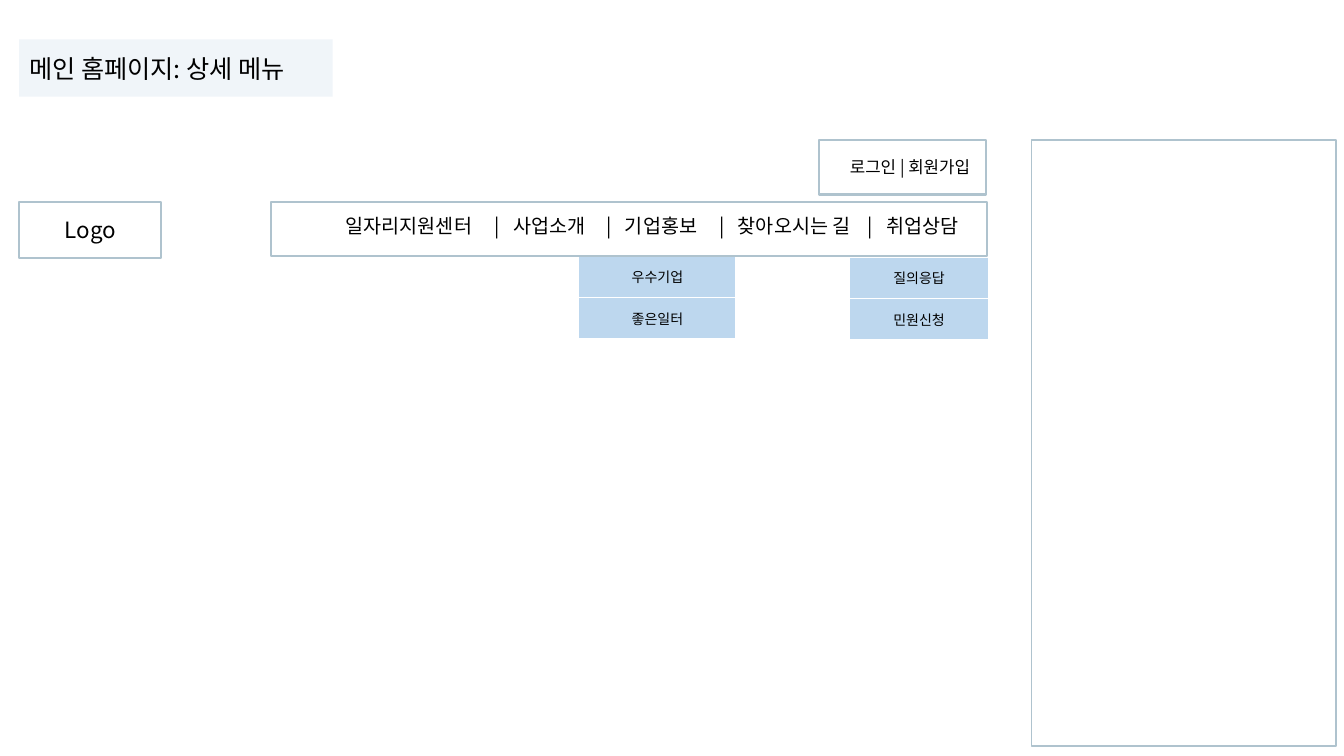
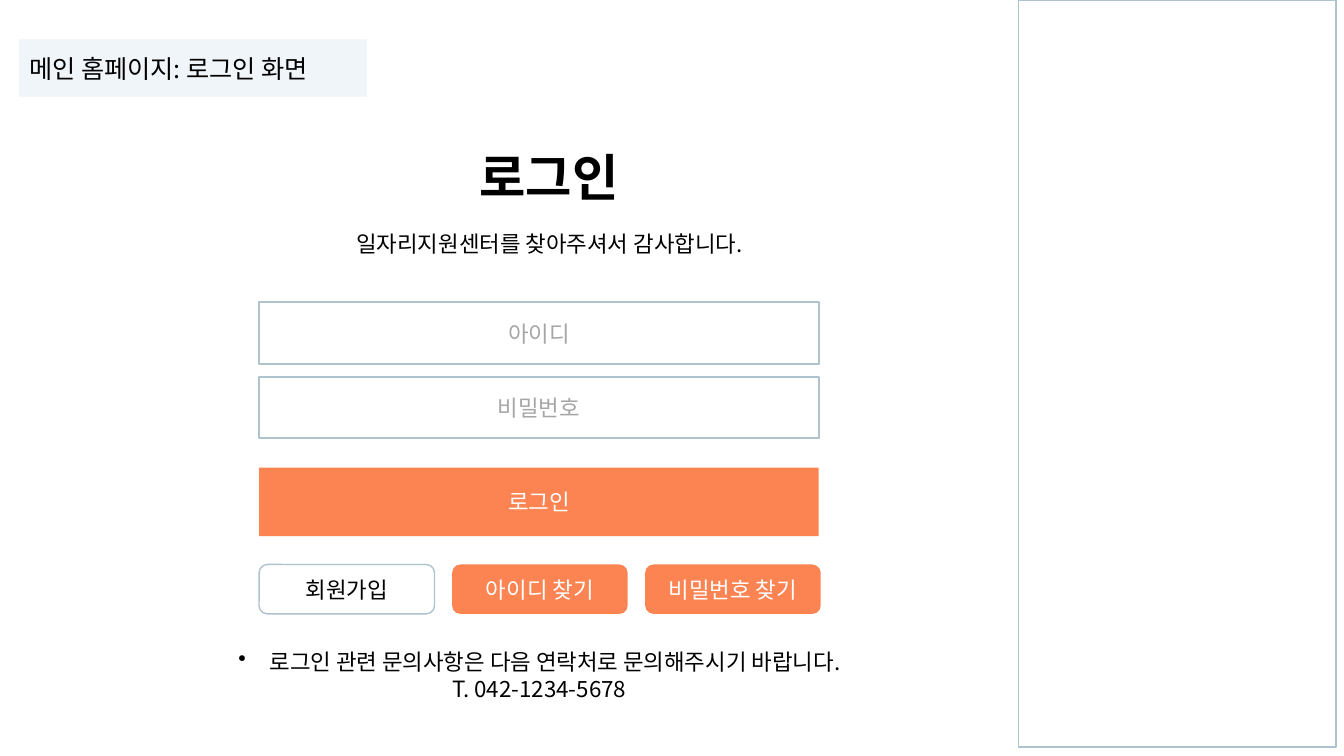
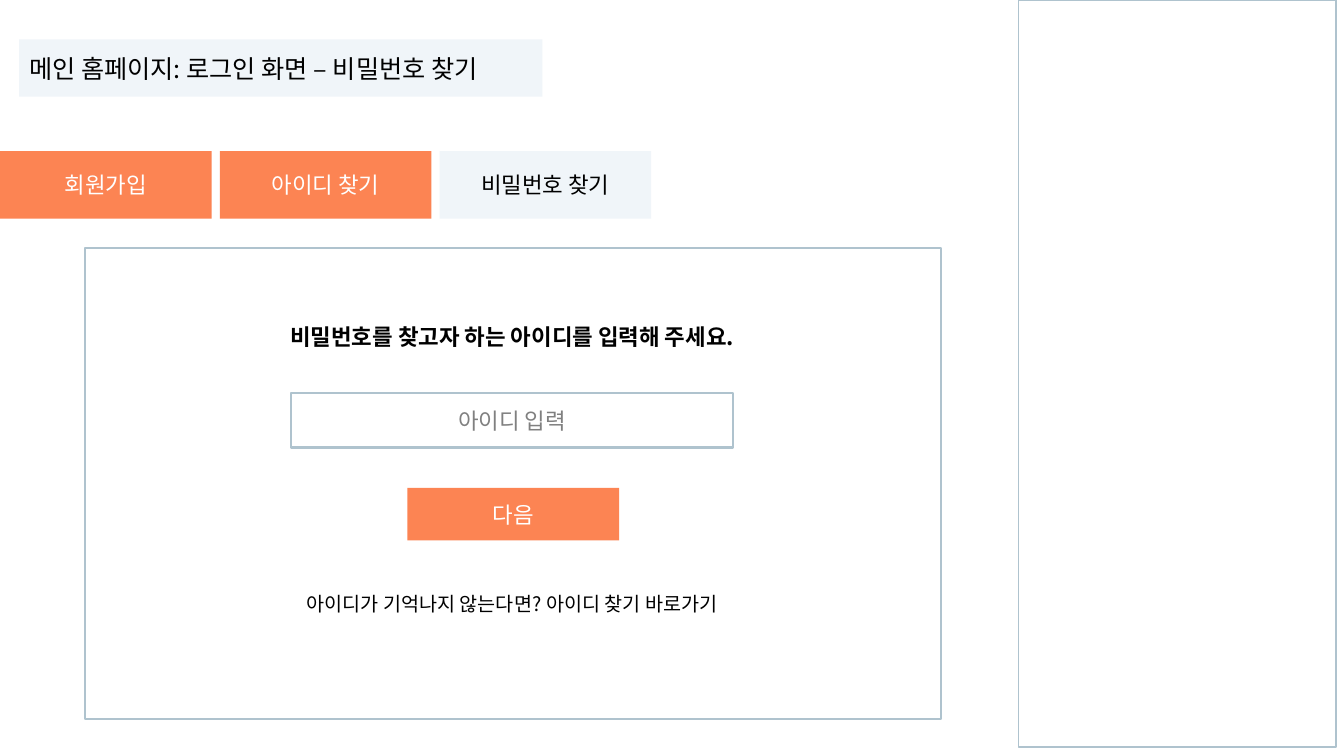
from dataclasses import dataclass

from lxml import etree
from pptx import Presentation
from pptx import util as u
from pptx.dml.color import RGBColor
from pptx.enum import shapes, text
from pptx.oxml import ns

FONT = "Noto Sans CJK KR"
COLORS = {
    "black": "000000",
    "white": "FFFFFF",
    "pale": "F0F5F9",
    "orange": "FC8453",
    "blue": "BDD7EE",
    "outline": "AFC3CE",
    "hint": "A6A6A6",
    "gray": "808080",
}
CENTER = text.PP_ALIGN.CENTER
LEFT = text.PP_ALIGN.LEFT
RIGHT = text.PP_ALIGN.RIGHT


@dataclass
class Box:
    """A rectangle or, without a preset, a text box; lengths in inches."""
    left: float
    top: float
    width: float
    height: float
    words: str = ""
    fill: str | None = None
    line: float | None = None
    color: str = "black"
    size: int = 16
    bold: bool = False
    align: text.PP_ALIGN = CENTER
    preset: shapes.MSO_SHAPE | None = shapes.MSO_SHAPE.RECTANGLE


@dataclass
class Submenu:
    left: float
    top: float
    width: float
    items: tuple[str, ...]


def rgb(name: str) -> RGBColor:
    return RGBColor.from_string(COLORS[name])


def add_xml(parent, tag: str, **attributes: str):
    return etree.SubElement(parent, ns.qn(tag), attributes)


def write(frame, words: str, *, size: int = 16, color: str = "black",
          bold: bool = False, align: text.PP_ALIGN = CENTER) -> None:
    """Write one paragraph for each line of words."""
    for index, line in enumerate(words.split("\n")):
        para = frame.add_paragraph() if index else frame.paragraphs[0]
        para.alignment = align
        span = para.add_run()
        span.text = line
        span.font.size = u.Pt(size)
        span.font.bold = bold
        span.font.name = FONT
        span.font.color.rgb = rgb(color)
        add_xml(span.font._element, "a:ea", typeface=FONT)


def draw_box(page, box: Box):
    place = [u.Inches(n) for n in (box.left, box.top, box.width, box.height)]
    if box.preset is None:
        shape = page.shapes.add_textbox(*place)
    else:
        shape = page.shapes.add_shape(box.preset, *place)
        shape.shadow.inherit = False
    if box.fill:
        shape.fill.solid()
        shape.fill.fore_color.rgb = rgb(box.fill)
    else:
        shape.fill.background()
    if box.line:
        shape.line.color.rgb = rgb("outline")
        shape.line.width = u.Pt(box.line)
    else:
        shape.line.fill.background()
    frame = shape.text_frame
    frame.word_wrap = True
    frame.vertical_anchor = text.MSO_ANCHOR.MIDDLE
    if box.words:
        write(frame, box.words, size=box.size, color=box.color,
              bold=box.bold, align=box.align)
    return shape


def draw_submenu(page, menu: Submenu) -> None:
    row_height = 0.41
    table = page.shapes.add_table(
        len(menu.items), 1, u.Inches(menu.left), u.Inches(menu.top),
        u.Inches(menu.width), u.Inches(row_height * len(menu.items))).table
    table.first_row = table.horz_banding = False
    for row, item in enumerate(menu.items):
        table.rows[row].height = u.Inches(row_height)
        cell = table.cell(row, 0)
        write(cell.text_frame, item, size=10)
        cell.vertical_anchor = text.MSO_ANCHOR.MIDDLE
        # Borders come before the fill in the cell properties
        for side in ("a:lnL", "a:lnR", "a:lnT", "a:lnB"):
            border = add_xml(cell._tc.get_or_add_tcPr(), side, w=str(u.Pt(1)))
            add_xml(add_xml(border, "a:solidFill"), "a:srgbClr",
                    val=COLORS["white"])
        cell.fill.solid()
        cell.fill.fore_color.rgb = rgb("blue")


def set_tabs(para, stops: list[tuple[float, str]]) -> None:
    tabs = add_xml(para._p.get_or_add_pPr(), "a:tabLst")
    for position, align in stops:
        add_xml(tabs, "a:tab", pos=str(u.Inches(position)), algn=align)


def set_bullet(para, indent: float) -> None:
    props = para._p.get_or_add_pPr()
    props.set("marL", str(u.Inches(indent)))
    props.set("indent", str(-u.Inches(indent)))
    add_xml(props, "a:buChar", char="•")


def add_page(deck, title: str, title_width: float):
    page = deck.slides.add_slide(deck.slide_layouts[6])
    draw_box(page, Box(0.19, 0.39, title_width, 0.57, f"메인 홈페이지: {title}",
                       fill="pale", size=18, align=LEFT))
    return page


def add_side_panel(page) -> None:
    draw_box(page, Box(10.1, 0, 3.15, 7.41, line=1))


def build_menu_page(deck) -> None:
    page = add_page(deck, "상세 메뉴", 3.11)

    # Drop-down menus
    for menu in (Submenu(5.74, 2.54, 1.56, ("우수기업", "좋은일터")),
                 Submenu(8.42, 2.55, 1.39, ("질의응답", "민원신청"))):
        draw_submenu(page, menu)

    # Side panel, logo area and header frames
    for box in (
        Box(10.23, 1.39, 3.02, 6.01, line=1),
        Box(0.19, 2, 1.41, 0.56, "Logo", fill="white", line=1.5),
        Box(2.69, 2, 7.1, 0.54, line=1.5),
        Box(8.12, 1.39, 1.66, 0.54, line=1.5),
        Box(7.93, 1.51, 1.79, 0.3, "로그인 | 회원가입", size=12, align=RIGHT,
            preset=None),
    ):
        draw_box(page, box)

    # Main menu, with its bars and entries on tab stops
    entries = ("일자리지원센터", "사업소개", "기업홍보", "찾아오시는 길", "취업상담")
    menu_bar = draw_box(page, Box(3.33, 2.07, 6.28, 0.34, "\t|\t".join(entries),
                                  size=14, align=LEFT, preset=None))
    stops = []
    for bar in (1.5, 2.61, 3.73, 5.2):
        stops += [(bar, "ctr"), (bar + 0.16, "l")]
    set_tabs(menu_bar.text_frame.paragraphs[0], stops)


def build_login_page(deck) -> None:
    page = add_page(deck, "로그인 화면", 3.45)
    left, width = 2.57, 5.55

    # Heading
    draw_box(page, Box(4.49, 1.44, 1.91, 0.61, "로그인", size=36, bold=True,
                       preset=None))
    draw_box(page, Box(2.79, 2.11, 5.32, 0.61,
                       "일자리지원센터를 찾아주셔서 감사합니다.", preset=None))

    # Input fields and login button
    for row, hint in enumerate(("아이디", "비밀번호")):
        draw_box(page, Box(left, 3 + row * 0.74, width, 0.61, hint, line=1.5,
                           color="hint"))
    draw_box(page, Box(left, 4.64, width, 0.68, "로그인", fill="orange",
                       color="white"))

    # Account buttons
    for column, label in enumerate(("회원가입", "아이디 찾기", "비밀번호 찾기")):
        look = {"fill": "orange", "color": "white"} if column else {"line": 1}
        draw_box(page, Box(left + column * 1.915, 5.6, 1.74, 0.49, label,
                           preset=shapes.MSO_SHAPE.ROUNDED_RECTANGLE, **look))

    # Contact note
    note = draw_box(page, Box(
        1.9, 6.39, 6.9, 0.61,
        "로그인 관련 문의사항은 다음 연락처로 문의해주시기 바랍니다.\nT. 042-1234-5678",
        preset=None))
    set_bullet(note.text_frame.paragraphs[0], 0.31)
    add_side_panel(page)


def build_password_page(deck) -> None:
    page = add_page(deck, "로그인 화면 – 비밀번호 찾기", 5.19)
    add_side_panel(page)

    # Tabs, the last one being open
    labels = ("회원가입", "아이디 찾기", "비밀번호 찾기")
    for column, label in enumerate(labels):
        is_open = column == len(labels) - 1
        draw_box(page, Box(column * 2.18, 1.5, 2.1, 0.67, label,
                           fill="pale" if is_open else "orange",
                           color="black" if is_open else "white"))

    # Form
    for box in (
        Box(0.84, 2.46, 8.49, 4.67, line=1.5),
        Box(2.45, 3.1, 5.26, 0.48, "비밀번호를 찾고자 하는 아이디를 입력해 주세요.",
            bold=True, preset=None),
        Box(2.89, 3.9, 4.38, 0.54, "아이디 입력", line=1.5, color="gray"),
        Box(4.04, 4.84, 2.1, 0.52, "다음", fill="orange", color="white"),
        Box(2.45, 5.75, 5.26, 0.48,
            "아이디가 기억나지 않는다면? 아이디 찾기 바로가기", size=14, preset=None),
    ):
        draw_box(page, box)


def main() -> None:
    deck = Presentation()
    deck.slide_width = u.Inches(13.33)
    deck.slide_height = u.Inches(7.5)
    build_menu_page(deck)
    build_login_page(deck)
    build_password_page(deck)
    deck.save("out.pptx")


if __name__ == "__main__":
    main()
